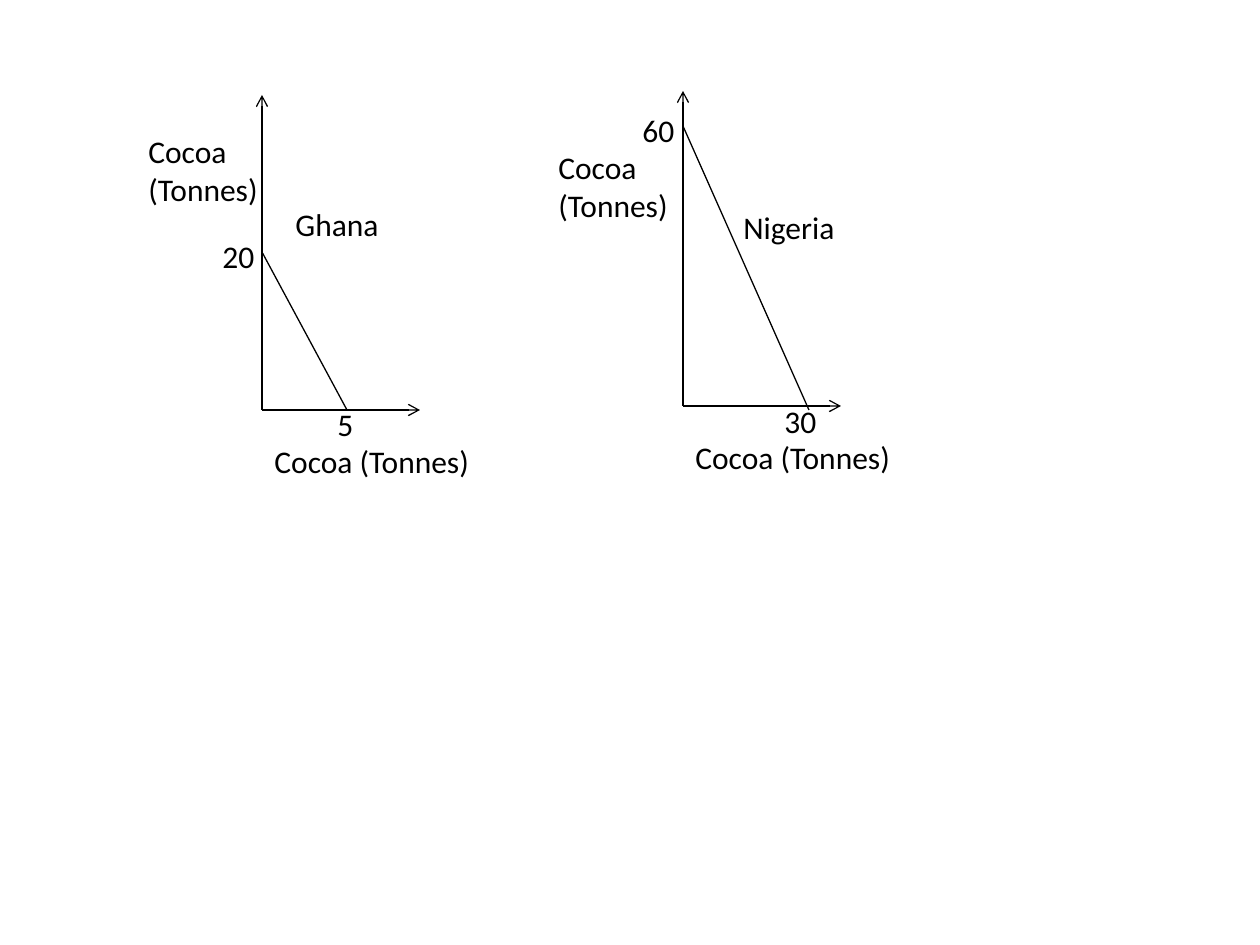
from lxml import etree
from pptx import Presentation
from pptx import util as u
from pptx.dml.color import RGBColor
from pptx.enum import shapes, text
from pptx.oxml import ns

EMU_PER_PX = 914400 / 126
BLACK = "000000"


def px(*lengths):
    return [u.Emu(round(length * EMU_PER_PX)) for length in lengths]


def rgb(value):
    return RGBColor.from_string(value)


deck = Presentation()
deck.slide_width, deck.slide_height = px(1260, 945)
page = deck.slides.add_slide(deck.slide_layouts[6])

# Origin of the axes, ends of the frontier, then labels as (text, left, top, width, height)
graphs = [
    ((262, 410), (262, 252), (347, 410), [
        ("5", 325, 399, 42, 50),
        ("20", 210, 231, 58, 50),
        ("Ghana", 283, 199, 110, 50),
        ("Cocoa\n(Tonnes)", 136, 126, 136, 89),
    ]),
    ((683, 406), (683, 126), (809, 410), [
        ("30", 772, 396, 58, 50),
        ("60", 630, 105, 58, 50),
        ("Nigeria", 731, 202, 125, 50),
        ("Cocoa\n(Tonnes)", 546, 142, 136, 89),
    ]),
]

for (x, y), frontier_top, frontier_end, labels in graphs:
    lines = [
        ((x, y), (x, y - 315), True),
        ((x, y), (x + 158, y), True),
        (frontier_top, frontier_end, False),
    ]
    for start, end, has_arrow in lines:
        line = page.shapes.add_connector(
            shapes.MSO_CONNECTOR.STRAIGHT, *px(*start, *end))
        line.line.color.rgb = rgb(BLACK)
        line.line.width = u.Pt(0.75)
        if has_arrow:
            etree.SubElement(line.line._get_or_add_ln(),
                             ns.qn("a:tailEnd"), type="arrow")
        etree.SubElement(line._element.spPr, ns.qn("a:effectLst"))

    axis_label = ("Cocoa (Tonnes)", x, y + 26, 220, 50)
    for label in labels + [axis_label]:
        wording, *bounds = label
        box = page.shapes.add_textbox(*px(*bounds))
        frame = box.text_frame
        frame.text = wording
        frame.word_wrap = label is axis_label
        frame.auto_size = text.MSO_AUTO_SIZE.SHAPE_TO_FIT_TEXT
        for para in frame.paragraphs:
            for span in para.runs:
                span.font.name = "Calibri"
                span.font.size = u.Pt(18)
                span.font.color.rgb = rgb(BLACK)

deck.save("out.pptx")
